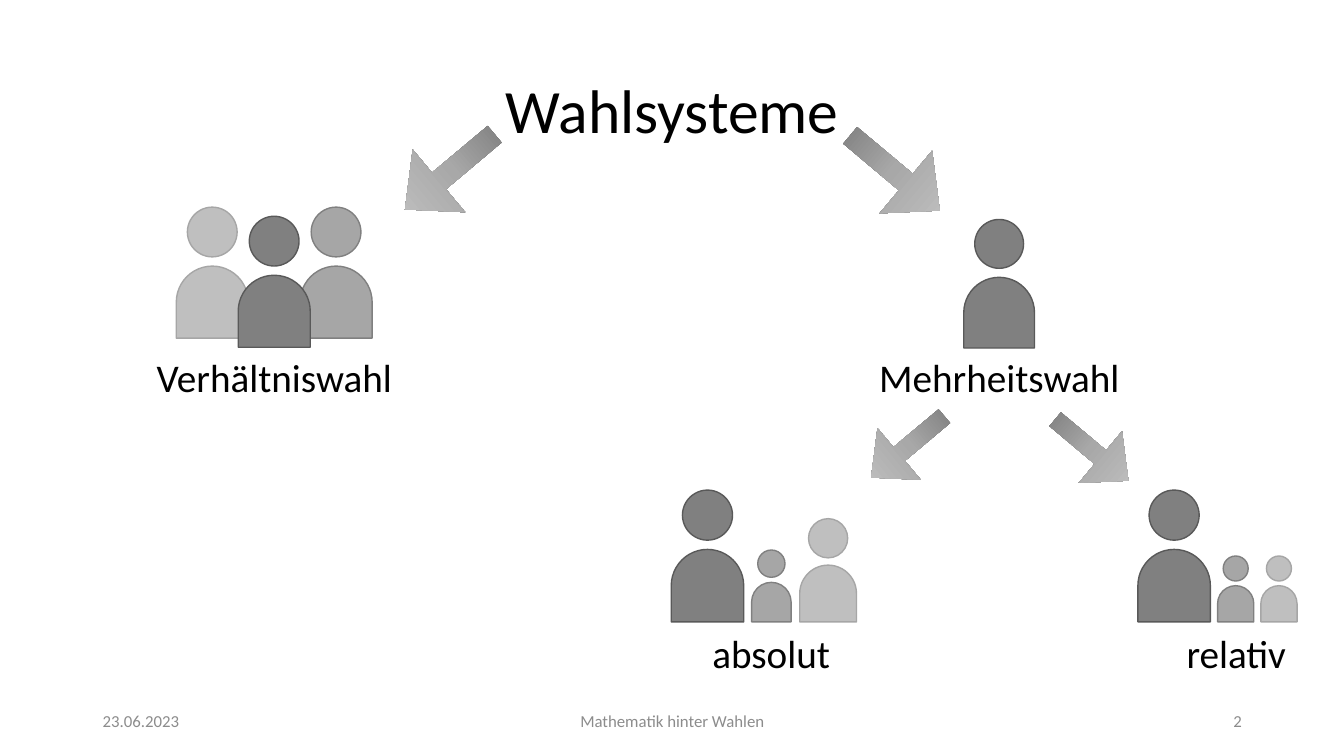
"""Build the slide on voting systems: proportional and majority elections."""
from copy import deepcopy

from pptx import Presentation
from pptx.dml.color import RGBColor
from pptx.enum.shapes import MSO_SHAPE
from pptx.enum.text import MSO_ANCHOR, MSO_AUTO_SIZE, PP_ALIGN
from pptx.oxml.ns import qn
from pptx.util import Cm, Pt

TITLE = "Wahlsysteme"
TITLE_AREA = (2.34, 1.02, 29.21, 3.68)
TONES = {
    "light": ("BFBFBF", "A6A6A6"),
    "middle": ("A6A6A6", "808080"),
    "dark": ("808080", "595959"),
}
# Each person: centre, base, height, tone
GROUPS = [
    [(5.35, 8.52, 3.3, "light"), (8.47, 8.52, 3.3, "middle"), (6.91, 8.75, 3.3, "dark")],
    [(25.18, 8.77, 3.24, "dark")],
    [(20.87, 15.67, 2.6, "light"), (19.44, 15.67, 1.81, "middle"), (17.83, 15.67, 3.32, "dark")],
    [(32.23, 15.67, 1.66, "light"), (31.14, 15.67, 1.66, "middle"), (29.59, 15.67, 3.32, "dark")],
]
# Each label: text, left, top
LABELS = [
    ("Verhältniswahl", 3.5, 8.77),
    ("Mehrheitswahl", 21.77, 8.77),
    ("absolut", 16.02, 15.73),
    ("relativ", 27.74, 15.73),
]
# Each arrow: left, top, width, height, rotation
ARROWS = [
    (9.86, 3.3, 2.95, 2.06, 140),
    (21.08, 3.33, 2.95, 2.06, 40),
    (21.67, 10.41, 2.41, 1.7, 140),
    (26.31, 10.49, 2.41, 1.7, 40),
]
ARROW_STOPS = [(0, "6F6F6F"), (0.48, "A8A8A8"), (1, "C9C9C9")]
# Each footer: text, left, width, alignment
FOOTERS = [
    ("23.06.2023", 2.34, 7.62, PP_ALIGN.LEFT),
    ("Mathematik hinter Wahlen", 11.23, 11.43, PP_ALIGN.CENTER),
    ("2", 23.93, 7.62, PP_ALIGN.RIGHT),
]
BODY_SHARE, HEAD_SHARE = 0.55, 0.38


def color(value):
    return RGBColor.from_string(value)


def write(frame, text, size, tint, alignment, anchor):
    frame.word_wrap = True
    frame.auto_size = MSO_AUTO_SIZE.NONE
    frame.vertical_anchor = anchor
    frame.text = text
    para = frame.paragraphs[0]
    para.alignment = alignment
    para.font.name = "Calibri"
    para.font.size = Pt(size)
    para.font.color.rgb = color(tint)
    return para


def add_text(page, area, *style):
    box = page.shapes.add_textbox(*map(Cm, area))
    write(box.text_frame, *style)


def add_person(group, centre, base, height, tone):
    body, head = BODY_SHARE * height, HEAD_SHARE * height
    parts = [
        (MSO_SHAPE.FLOWCHART_DELAY, body, base - body, 270),
        (MSO_SHAPE.OVAL, head, base - height, 0),
    ]
    fill, line = TONES[tone]
    for kind, side, top, rotation in parts:
        part = group.shapes.add_shape(kind, Cm(centre - side / 2), Cm(top), Cm(side), Cm(side))
        part.rotation = rotation
        part.shadow.inherit = False
        part.fill.solid()
        part.fill.fore_color.rgb = color(fill)
        part.line.color.rgb = color(line)
        part.line.width = Pt(1)


def add_arrow(page, *area, rotation):
    arrow = page.shapes.add_shape(MSO_SHAPE.RIGHT_ARROW, *map(Cm, area))
    arrow.rotation = rotation
    arrow.adjustments[0], arrow.adjustments[1] = 0.265, 0.543
    arrow.shadow.inherit = False
    arrow.line.fill.background()
    arrow.fill.gradient()
    arrow.fill.gradient_angle = 0
    stop_list = next(arrow.element.iter(qn("a:gsLst")))
    stop_list.append(deepcopy(stop_list[0]))
    for stop, (position, tint) in zip(arrow.fill.gradient_stops, ARROW_STOPS):
        stop.position = position
        stop.color.rgb = color(tint)


def main():
    deck = Presentation()
    deck.slide_width, deck.slide_height = Cm(33.87), Cm(19.05)
    page = deck.slides.add_slide(deck.slide_layouts[5])

    title = page.shapes.title
    title.left, title.top, title.width, title.height = map(Cm, TITLE_AREA)
    para = write(title.text_frame, TITLE, 44, "000000", PP_ALIGN.CENTER, MSO_ANCHOR.MIDDLE)
    para.line_spacing = 0.9

    for people in GROUPS:
        group = page.shapes.add_group_shape()
        for person in people:
            add_person(group, *person)
    for text, left, top in LABELS:
        add_text(page, (left, top, 6.83, 1.45), text, 28, "000000", PP_ALIGN.CENTER, MSO_ANCHOR.TOP)
    for *area, rotation in ARROWS:
        add_arrow(page, *area, rotation=rotation)
    for text, left, width, alignment in FOOTERS:
        add_text(page, (left, 17.66, width, 1.01), text, 12, "8C8C8C", alignment, MSO_ANCHOR.MIDDLE)

    deck.save("out.pptx")


if __name__ == "__main__":
    main()
